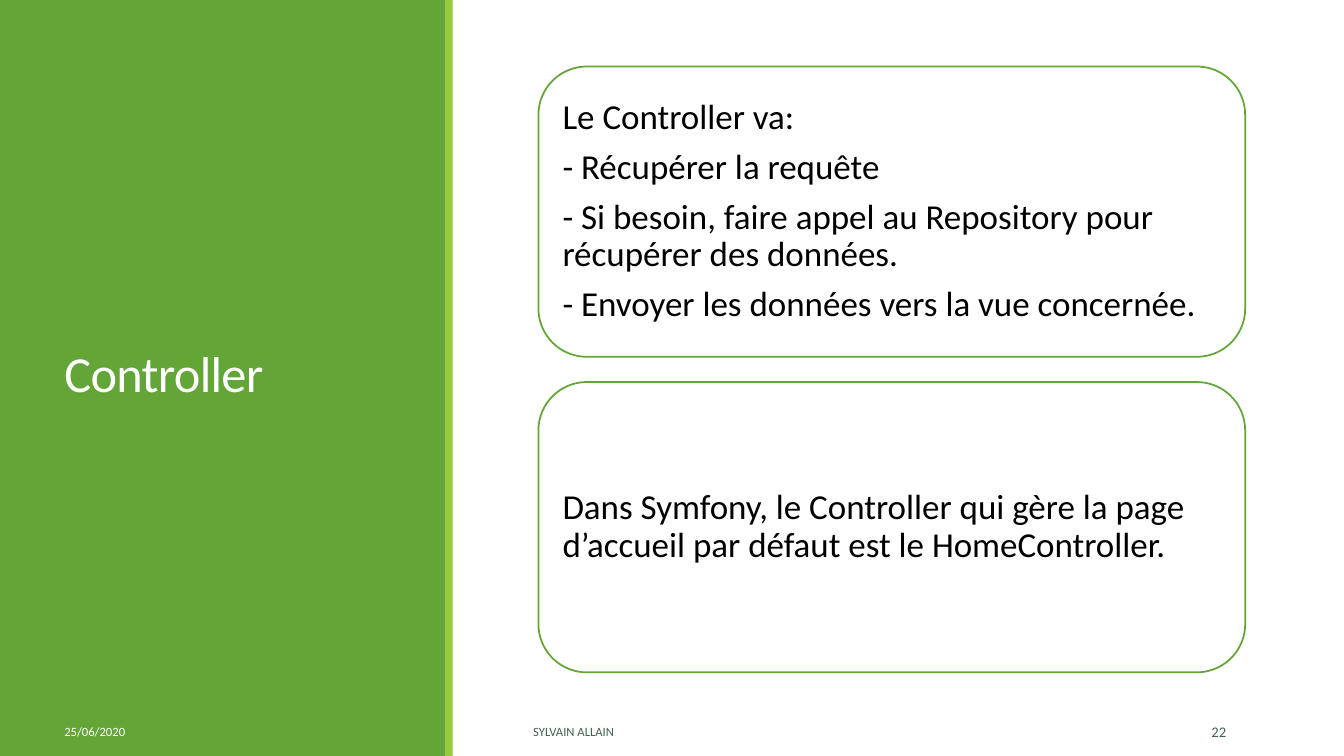
from pptx import Presentation
from pptx.dml.color import RGBColor
from pptx.enum.shapes import MSO_SHAPE
from pptx.enum.text import MSO_ANCHOR, PP_ALIGN
from pptx.util import Inches, Pt

RECT, ROUND = MSO_SHAPE.RECTANGLE, MSO_SHAPE.ROUNDED_RECTANGLE
MIDDLE = MSO_ANCHOR.MIDDLE
LEFT, RIGHT = PP_ALIGN.LEFT, PP_ALIGN.RIGHT

THEME = {
    "font": "Calibri",
    "green": RGBColor(0x63, 0xA5, 0x37),
    "lime": RGBColor(0x99, 0xCB, 0x38),
    "slate": RGBColor(0x45, 0x5F, 0x51),
    "white": RGBColor(0xFF, 0xFF, 0xFF),
    "black": RGBColor(0, 0, 0),
    "title": 36, "body": 25, "foot": 9, "page": 10.5,
}
WIDTH, HEIGHT = 13.33, 7.5

deck = Presentation()
deck.slide_width, deck.slide_height = Inches(WIDTH), Inches(HEIGHT)
slide = deck.slides.add_slide(deck.slide_layouts[6])


def add_block(kind, place, fill, line=None):
    block = slide.shapes.add_shape(kind, *map(Inches, place))
    block.shadow.inherit = False
    block.fill.solid()
    block.fill.fore_color.rgb = THEME[fill]
    if line:
        block.line.color.rgb = THEME[line]
        block.line.width = Pt(1.25)
    else:
        block.line.fill.background()
    return block


def write(shape, lines, size, color, **style):
    """Fill a shape with one paragraph per line; style holds paragraph formats."""
    frame = shape.text_frame
    frame.word_wrap = True
    frame.vertical_anchor = MIDDLE
    frame.text = "\n".join(lines)
    for para in frame.paragraphs:
        for name, value in {"alignment": LEFT, **style}.items():
            setattr(para, name, value)
        font = para.runs[0].font
        font.name, font.size = THEME["font"], Pt(THEME[size])
        font.color.rgb = THEME[color]
    return frame


# Side panel with its title
PANEL, STRIPE, MARGIN, TOP = 4.42, 0.07, 0.54, 0.66
add_block(RECT, (0, 0, PANEL, HEIGHT), "green")
add_block(RECT, (PANEL, 0, STRIPE, HEIGHT), "lime")
title = slide.shapes.add_textbox(*map(Inches, (MARGIN, TOP, 3.37, 6.17)))
frame = write(title, ["Controller"], "title", "white", line_spacing=0.85)
frame.paragraphs[0].runs[0].font._element.set("spc", "-50")

# Stacked cards
CARDS = [
    ["Le Controller va:",
     "- Récupérer la requête",
     "- Si besoin, faire appel au Repository pour récupérer des données.",
     "- Envoyer les données vers la vue concernée."],
    ["Dans Symfony, le Controller qui gère la page d’accueil par défaut "
     "est le HomeController."],
]
CARD_X, CARD_W, CARD_H, GAP = 5.34, 7.01, 2.88, 0.25
for row, lines in enumerate(CARDS):
    place = (CARD_X, TOP + row * (CARD_H + GAP), CARD_W, CARD_H)
    card = add_block(ROUND, place, "white", "green")
    frame = write(card, lines, "body", "black",
                  line_spacing=0.9, space_after=Pt(8.75))
    for side in ("left", "top", "right", "bottom"):
        setattr(frame, f"margin_{side}", Inches(0.1))

# Footer
FOOT_Y, FOOT_H = 7.06, 0.4
FOOTER = [
    ("25/06/2020", MARGIN, 1.9, "foot", "white", LEFT),
    ("SYLVAIN ALLAIN", 5.19, 5.58, "foot", "slate", LEFT),
    ("22", 11.07, 1.19, "page", "slate", RIGHT),
]
for text, left, width, size, color, align in FOOTER:
    box = slide.shapes.add_textbox(*map(Inches, (left, FOOT_Y, width, FOOT_H)))
    write(box, [text], size, color, alignment=align, space_after=Pt(6))

deck.save("out.pptx")
